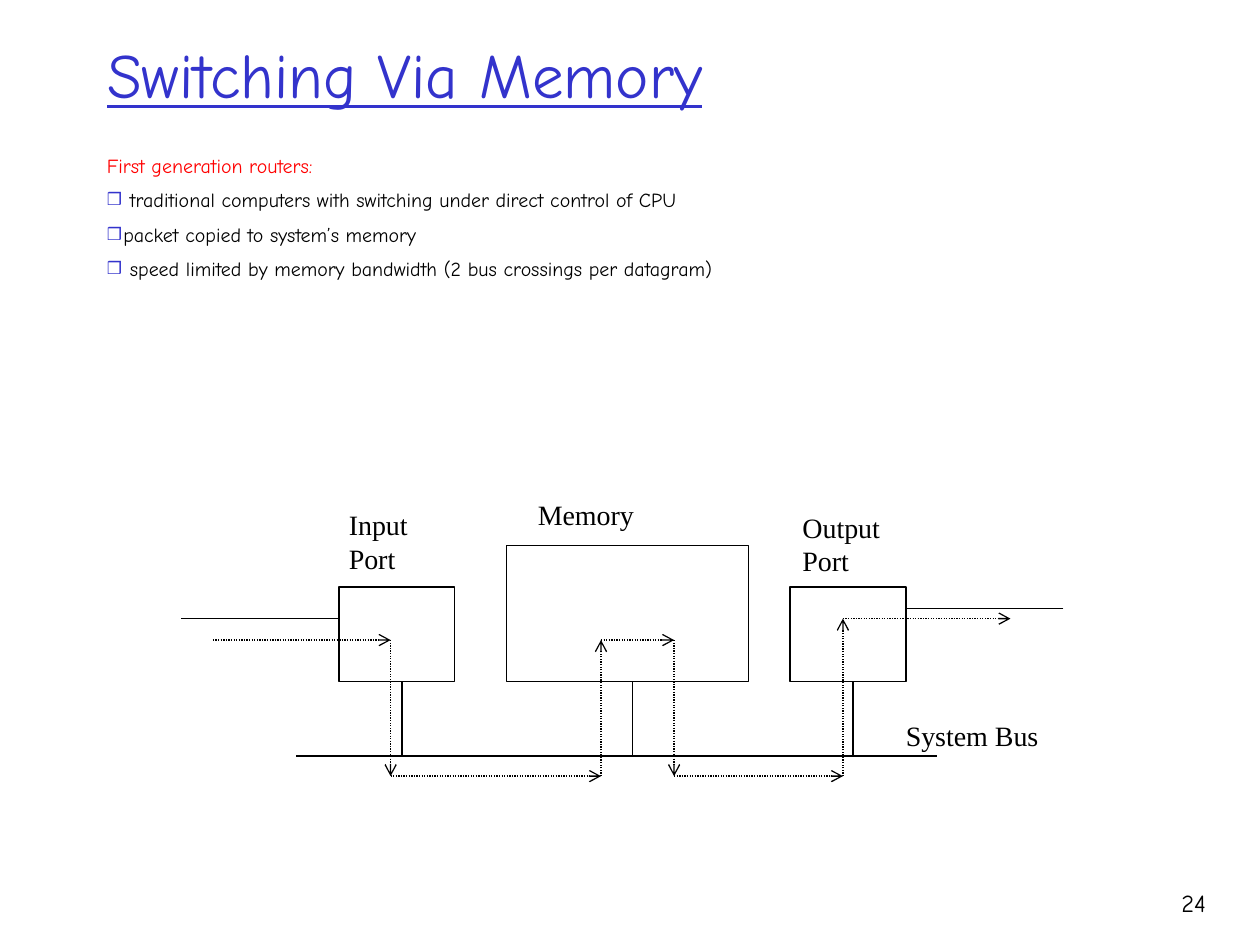
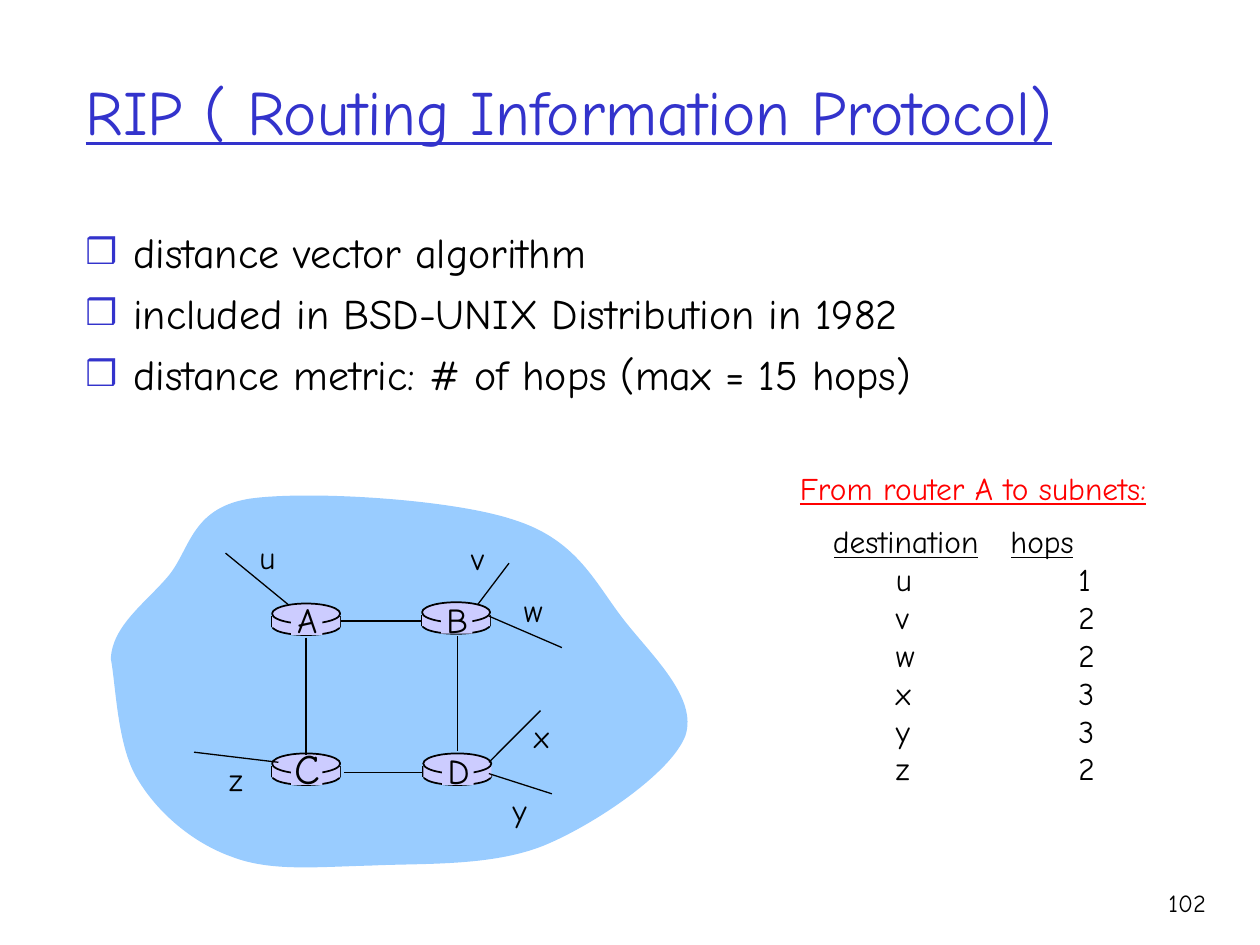
from dataclasses import dataclass
from itertools import pairwise
from lxml.etree import SubElement
from pptx import Presentation
from pptx.dml.color import RGBColor
from pptx.enum.dml import MSO_LINE
from pptx.enum.shapes import MSO_CONNECTOR, MSO_SHAPE
from pptx.enum.text import MSO_ANCHOR, MSO_AUTO_SIZE, PP_ALIGN
from pptx.oxml.ns import qn
from pptx.util import Inches, Pt


@dataclass(frozen=True)
class Theme:
    ink: RGBColor = RGBColor(0, 0, 0)
    blue: RGBColor = RGBColor(0x33, 0x33, 0xCC)
    red: RGBColor = RGBColor(0xFF, 0, 0)
    cloud: RGBColor = RGBColor(0x99, 0xCC, 0xFF)
    router: RGBColor = RGBColor(0xCC, 0xCC, 0xFF)
    font: str = "Comic Neue"
    serif: str = "Times New Roman"
    mark: str = "Arial"
    title: float = 36
    small: float = 11.4
    body: float = 24
    label: float = 18
    port: float = 16
    number: float = 14
    letter: float = 20


T = Theme()


def write(frame, text, size, color=T.ink, name=T.font, align=PP_ALIGN.LEFT, under=False):
    frame.text = text
    for para in frame.paragraphs:
        para.alignment = align
        for run in para.runs:
            font = run.font
            font.size, font.name, font.underline = Pt(size), name, under
            font.color.rgb = color


def link(slide, start, end, width=0.75, arrow=False):
    """Draw a straight line; an arrow is dotted with an open head."""
    ends = [Inches(v) for v in (*start, *end)]
    wire = slide.shapes.add_connector(MSO_CONNECTOR.STRAIGHT, *ends)
    wire.line.color.rgb = T.ink
    wire.line.width = Pt(width)
    props = wire._element.spPr
    if arrow:
        wire.line.dash_style = MSO_LINE.ROUND_DOT
        SubElement(props.find(qn("a:ln")), qn("a:tailEnd"), type="arrow")
    SubElement(props, qn("a:effectLst"))


deck = Presentation()
deck.slide_width, deck.slide_height = Inches(10), Inches(7.5)

# Title, bullet list and number of each slide
pages = [
    ("Switching Via Memory", (0.75, 0.25, 8.5, 0.67), "24",
     (0.75, 1.17, 8.58, 1.17), T.small, 0.13, "First generation routers:",
     [" traditional computers with switching under direct control of CPU",
      "packet copied to system’s memory",
      " speed limited by memory bandwidth (2 bus crossings per datagram)"]),
    ("RIP ( Routing Information Protocol)", (0.58, 0.25, 8.94, 1.25), "102",
     (0.58, 1.75, 9, 1.85), T.body, 0.38, None,
     ["distance vector algorithm",
      "included in BSD-UNIX Distribution in 1982",
      "distance metric: # of hops (max = 15 hops)"]),
]
slides = []
for title, spot, number, area, size, indent, lead, points in pages:
    slide = deck.slides.add_slide(deck.slide_layouts[5])
    slides.append(slide)
    head = slide.shapes.title
    head.left, head.top, head.width, head.height = [Inches(v) for v in spot]
    frame = head.text_frame
    frame.auto_size = MSO_AUTO_SIZE.NONE
    frame.vertical_anchor = MSO_ANCHOR.MIDDLE
    write(frame, title, T.title, T.blue, under=True)

    frame = slide.shapes.add_textbox(*[Inches(v) for v in area]).text_frame
    frame.word_wrap = True
    rows = [lead] + points if lead else points
    write(frame, "\n".join(rows), size)
    for para in frame.paragraphs:
        para.space_before = Pt(6)
        props = para._p.get_or_add_pPr()
        props.set("marL", str(Inches(indent)))
        props.set("indent", str(-Inches(indent)))
        if para.text == lead:
            para.runs[0].font.color.rgb = T.red
            continue
        tint = SubElement(props, qn("a:buClr"))
        SubElement(tint, qn("a:srgbClr"), val=str(T.blue))
        SubElement(props, qn("a:buSzPct"), val="85000")
        SubElement(props, qn("a:buFont"), typeface=T.mark)
        SubElement(props, qn("a:buChar"), char="❒")

    box = slide.shapes.add_textbox(Inches(8.93), Inches(7), Inches(0.74), Inches(0.5))
    box.text_frame.word_wrap = True
    write(box.text_frame, number, T.number, align=PP_ALIGN.RIGHT)

memory, rip = slides

# Ports and memory on the system bus
for area in [(2.69, 4.66, 0.92, 0.75), (6.27, 4.66, 0.92, 0.75), (4.02, 4.33, 1.92, 1.08)]:
    part = memory.shapes.add_shape(MSO_SHAPE.RECTANGLE, *[Inches(v) for v in area])
    part.shadow.inherit = False
    part.fill.background()
    part.line.color.rgb = T.ink
    part.line.width = Pt(0.75)

bus = 6
link(memory, (2.35, bus), (7.44, bus))
for x in (3.19, 5.02, 6.77):
    link(memory, (x, 5.41), (x, bus))
link(memory, (2.69, 4.91), (1.44, 4.91))
link(memory, (8.44, 4.83), (7.19, 4.83))

route = [(1.69, 5.08), (3.1, 5.08), (3.1, 6.16), (4.77, 6.16), (4.77, 5.08),
         (5.35, 5.08), (5.35, 6.16), (6.69, 6.16), (6.69, 4.91), (8.02, 4.91)]
for start, end in pairwise(route):
    link(memory, start, end, arrow=True)

# Cloud outline: start point, then two controls and an end for each curve
edge = [(0.88, 5.23),
        (0.89, 4.97), (1.15, 4.79), (1.33, 4.58),
        (1.51, 4.37), (1.51, 4.04), (1.97, 3.96),
        (2.43, 3.89), (3.6, 3.96), (4.09, 4.13),
        (4.59, 4.29), (4.73, 4.64), (4.96, 4.93),
        (5.18, 5.21), (5.54, 5.54), (5.44, 5.84),
        (5.33, 6.13), (4.73, 6.54), (4.32, 6.71),
        (3.9, 6.88), (3.35, 6.85), (2.94, 6.87),
        (2.52, 6.88), (2.15, 6.92), (1.84, 6.8),
        (1.53, 6.69), (1.25, 6.45), (1.09, 6.18),
        (0.93, 5.92), (0.92, 5.43), (0.88, 5.23)]
edge = [(Inches(x), Inches(y)) for x, y in edge]
pen = rip.shapes.build_freeform(*edge[0])
pen.add_line_segments(edge[1:], close=True)
cloud = pen.convert_to_shape()
cloud.shadow.inherit = False
cloud.fill.solid()
cloud.fill.fore_color.rgb = T.cloud
cloud.line.fill.background()

# Each three straight segments become one curve
trace = next(cloud._element.iter(qn("a:path")))
lines = trace.findall(qn("a:lnTo"))
for i in range(0, len(lines), 3):
    bend = SubElement(trace, qn("a:cubicBezTo"))
    for line in lines[i:i + 3]:
        bend.append(line[0])
        trace.remove(line)
trace.append(trace.find(qn("a:close")))

# Routers: base, sides, band, lid, then a patch behind the letter
disc, slab = MSO_SHAPE.OVAL, MSO_SHAPE.RECTANGLE
layers = [(disc, 0, 0.11, 0.54, 0.14), (slab, 0, 0.1, 0.54, 0.09),
          (disc, 0, 0, 0.54, 0.16), (slab, 0.15, 0.02, 0.25, 0.23)]
routers = [("A", 2.16, 4.79, T.letter, 0.09), ("B", 3.35, 4.78, T.letter, 0.08),
           ("C", 2.16, 5.98, T.body, 0.14), ("D", 3.36, 5.98, T.letter, 0.08)]
for letter, x, y, size, rise in routers:
    for kind, dx, dy, wide, high in layers:
        part = rip.shapes.add_shape(kind, Inches(x + dx), Inches(y + dy), Inches(wide), Inches(high))
        part.shadow.inherit = False
        part.fill.solid()
        part.fill.fore_color.rgb = T.router
        if kind == disc:
            part.line.color.rgb = T.ink
            part.line.width = Pt(1)
        else:
            part.line.fill.background()
        if kind == disc and dy:
            sides = [x] if letter == "D" else [x, x + 0.54]
            for side in sides:
                link(rip, (side, y + 0.1), (side, y + 0.19), 1)
    box = rip.shapes.add_textbox(Inches(x + 0.08), Inches(y - rise), Inches(0.4), Inches(0.44))
    box.text_frame.word_wrap = False
    write(box.text_frame, letter, size, align=PP_ALIGN.CENTER)

for start, end in [((3.63, 5.05), (3.63, 5.96)), ((2.43, 5.06), (2.43, 5.99)),
                   ((2.73, 6.13), (3.36, 6.13)), ((2.71, 4.93), (3.35, 4.93))]:
    link(rip, start, end, 1)
for start, end in [((3.88, 4.89), (4.46, 5.14)), ((3.79, 4.8), (4.04, 4.47)),
                   ((3.88, 6.05), (4.29, 5.64)), ((3.88, 6.14), (4.38, 6.3)),
                   ((2.29, 4.8), (1.79, 4.39)), ((2.21, 6.05), (1.54, 5.97))]:
    link(rip, start, end)

# Free labels of both slides
port = dict(size=T.port, name=T.serif)
net = dict(size=T.label)
labels = [
    (memory, "Input\nPort", (2.67, 3.98, 0.7, 0.64), port),
    (memory, "Output\nPort", (6.27, 4, 0.85, 0.64), port),
    (memory, "Memory", (4.17, 3.9, 1, 0.37), port),
    (memory, "System Bus", (7.09, 5.65, 1.28, 0.37), port),
    (rip, "u", (1.96, 4.22, 0.33, 0.4), net),
    (rip, "v", (3.64, 4.23, 0.3, 0.4), net),
    (rip, "w", (4.06, 4.64, 0.35, 0.4), net),
    (rip, "x", (4.14, 5.64, 0.32, 0.4), net),
    (rip, "y", (3.97, 6.23, 0.31, 0.4), net),
    (rip, "z", (1.72, 5.98, 0.31, 0.4), net),
    (rip, "From router A to subnets:", (6.25, 3.67, 2.97, 0.4),
     dict(size=T.label, color=T.red, under=True)),
]
for slide, text, area, style in labels:
    frame = slide.shapes.add_textbox(*[Inches(v) for v in area]).text_frame
    frame.word_wrap = False
    frame.auto_size = MSO_AUTO_SIZE.SHAPE_TO_FIT_TEXT
    write(frame, text, **style)

# Hop counts from router A
hops = [("destination", "hops"), ("u", "1"), ("v", "2"), ("w", "2"),
        ("x", "3"), ("y", "3"), ("z", "2")]
grid = rip.shapes.add_table(len(hops), 2, Inches(6.61), Inches(4.17),
                            Inches(2.2), Inches(0.3 * len(hops))).table
grid.first_row = grid.horz_banding = False
grid.columns[0].width, grid.columns[1].width = Inches(1.41), Inches(0.79)
for r, row in enumerate(hops):
    for c, text in enumerate(row):
        cell = grid.cell(r, c)
        cell.fill.background()
        cell.margin_top = cell.margin_bottom = cell.margin_right = 0
        cell.margin_left = Inches((0.5, 0.54)[c] if r else 0)
        write(cell.text_frame, text, T.label, under=r == 0)

deck.save("out.pptx")
